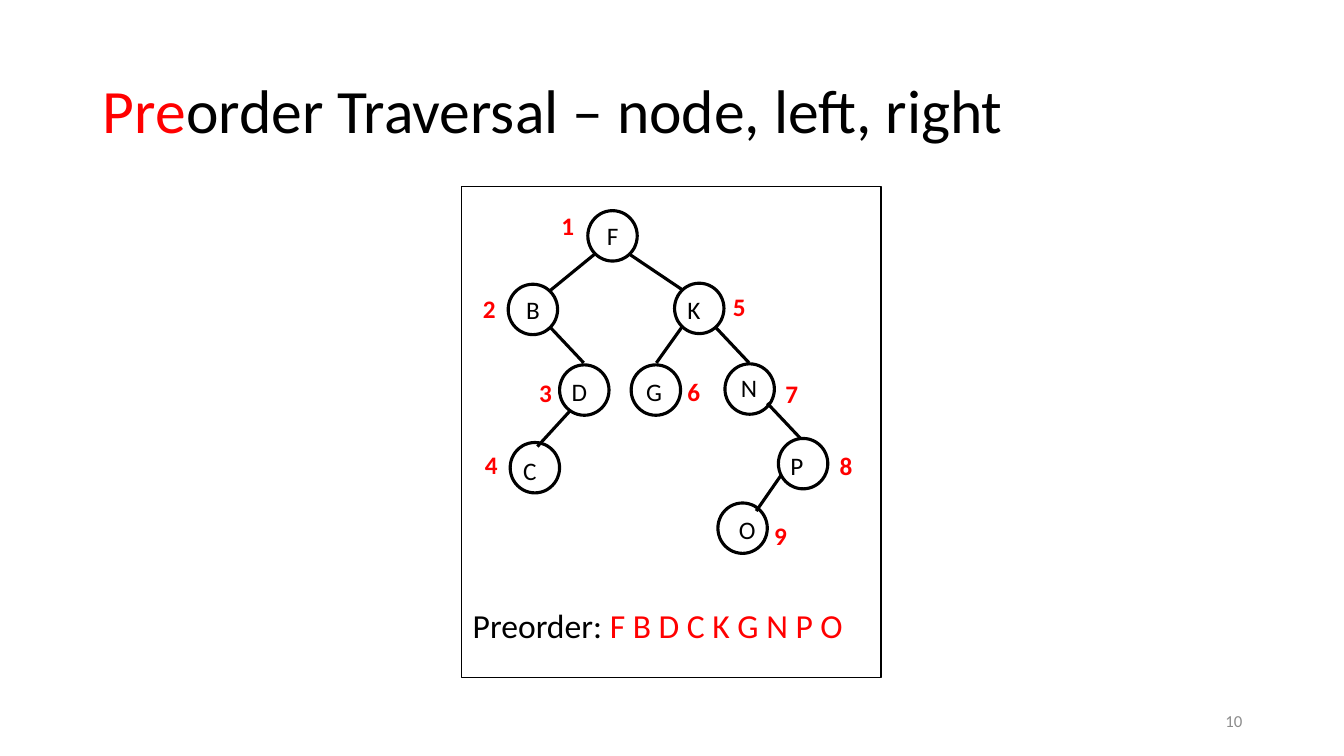
from pptx import Presentation
from pptx.dml.color import RGBColor
from pptx.enum.shapes import MSO_CONNECTOR, MSO_SHAPE
from pptx.enum.text import MSO_ANCHOR, PP_ALIGN
from pptx.oxml.ns import qn
from pptx.util import Inches, Pt

FONT = "Calibri"
BLACK, RED, GRAY = "000000", "FF0000", "8C8C8C"
NODE_SIZE = (0.49, 0.5)

# Nodes in preorder: letter, then circle, letter and number corners within the panel
NODES = [
    ("F", (1.25, 0.24), (1.34, 0.29), (0.89, 0.19)),
    ("B", (0.46, 0.97), (0.54, 1.02), (0.11, 1.01)),
    ("D", (0.97, 1.77), (0.99, 1.83), (0.67, 1.84)),
    ("C", (0.48, 2.54), (0.51, 2.62), (0.13, 2.56)),
    ("K", (2.11, 0.96), (2.14, 1.02), (2.59, 0.99)),
    ("G", (1.68, 1.77), (1.73, 1.83), (2.14, 1.83)),
    ("N", (2.61, 1.76), (2.67, 1.79), (3.11, 1.85)),
    ("P", (3.14, 2.50), (3.16, 2.57), (3.65, 2.57)),
    ("O", (2.54, 3.14), (2.65, 3.20), (3.00, 3.26)),
]

# Branches within the panel: parent end, child end
BRANCHES = [
    ((1.32, 0.67), (0.88, 1.03)),  # F to B
    ((1.66, 0.67), (2.18, 1.02)),  # F to K
    ((0.88, 1.40), (1.21, 1.75)),  # B to D
    ((1.07, 2.23), (0.75, 2.58)),  # D to C
    ((2.18, 1.40), (1.93, 1.75)),  # K to G
    ((2.52, 1.40), (2.85, 1.75)),  # K to N
    ((3.03, 2.15), (3.36, 2.50)),  # N to P
    ((3.17, 2.86), (2.92, 3.22)),  # P to O
]


def color(value):
    return RGBColor.from_string(value)


def write(paragraph, spans, size, bold=False):
    """Fill a paragraph with (text, colour) spans."""
    for text, shade in spans:
        span = paragraph.add_run()
        span.text = text
        span.font.name = FONT
        span.font.size = Pt(size)
        span.font.bold = bold
        span.font.color.rgb = color(shade)


def add_text(page, box, spans, size, bold=False):
    frame = page.shapes.add_textbox(*map(Inches, box)).text_frame
    frame.word_wrap = True
    write(frame.paragraphs[0], spans, size, bold)
    return frame


def add_outline(page, kind, box, width):
    shape = page.shapes.add_shape(kind, *map(Inches, box))
    shape.shadow.inherit = False
    shape.fill.background()
    shape.line.color.rgb = color(BLACK)
    shape.line.width = Pt(width)


def add_branch(page, start, end):
    branch = page.shapes.add_connector(
        MSO_CONNECTOR.STRAIGHT, *map(Inches, start + end))
    branch.line.color.rgb = color(BLACK)
    branch.line.width = Pt(2.25)
    properties = branch._element.spPr
    properties.append(properties.makeelement(qn("a:effectLst"), {}))


def add_title(page, box):
    title = page.shapes.title
    title.left, title.top, title.width, title.height = map(Inches, box)
    frame = title.text_frame
    frame.word_wrap = True
    frame.vertical_anchor = MSO_ANCHOR.MIDDLE
    paragraph = frame.paragraphs[0]
    paragraph.alignment = PP_ALIGN.LEFT
    paragraph.line_spacing = 0.9
    write(paragraph, [("Pre", RED), ("order Traversal – node, left, right", BLACK)], 44)


def add_tree_panel(page, box):
    """Draw the framed tree with its visiting order and resulting sequence."""
    left, top, width, height = box

    def place(point):
        return left + point[0], top + point[1]

    for start, end in BRANCHES:
        add_branch(page, place(start), place(end))
    for number, (letter, circle, label, mark) in enumerate(NODES, 1):
        add_outline(page, MSO_SHAPE.OVAL, place(circle) + NODE_SIZE, 2.25)
        add_text(page, place(label) + (0.39, 0.35), [(letter, BLACK)], 18)
        add_text(page, place(mark) + (0.36, 0.35), [(str(number), RED)], 18, bold=True)
    sequence = " ".join(node[0] for node in NODES)
    add_text(page, place((0.01, 4.1)) + (4.01, 0.5),
             [("Preorder: ", BLACK), (sequence, RED)], 24)
    add_outline(page, MSO_SHAPE.RECTANGLE, box, 1)


def add_page_number(page, box):
    frame = add_text(page, box, [("10", GRAY)], 12)
    frame.vertical_anchor = MSO_ANCHOR.MIDDLE
    frame.paragraphs[0].alignment = PP_ALIGN.RIGHT


def main():
    deck = Presentation()
    deck.slide_width, deck.slide_height = Inches(13.33), Inches(7.5)
    page = deck.slides.add_slide(deck.slide_layouts.get_by_name("Title Only"))
    add_title(page, (0.92, 0.4, 11.5, 1.45))
    add_tree_panel(page, (4.58, 1.85, 4.16, 4.87))
    add_page_number(page, (9.42, 6.95, 3, 0.4))
    deck.save("out.pptx")


if __name__ == "__main__":
    main()
